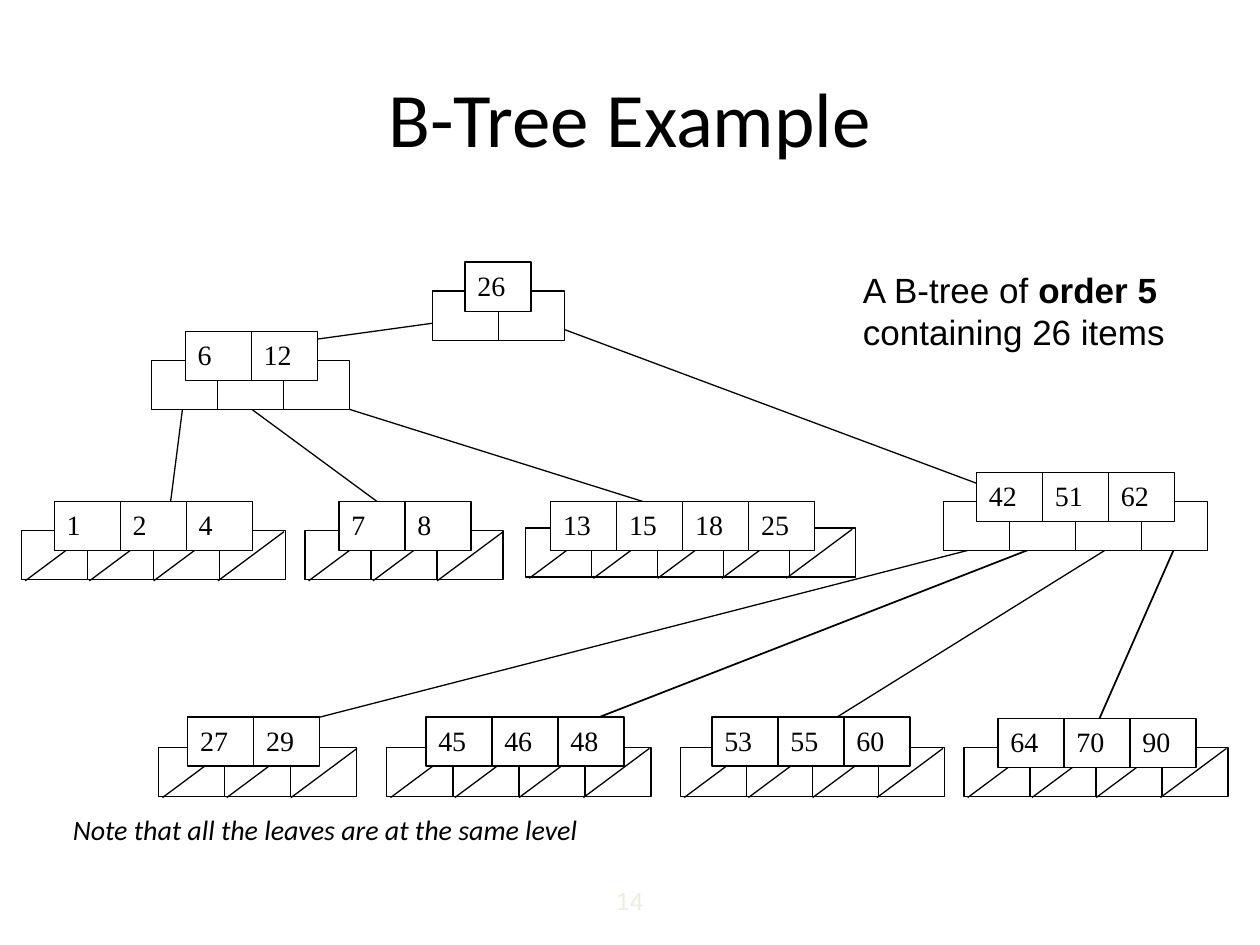
import pptx
import pptx.dml.color
import pptx.enum.shapes
import pptx.enum.text
import pptx.oxml
import pptx.oxml.ns
import pptx.util

INCH = pptx.util.Inches
BLACK, WHITE, PALE = "000000", "FFFFFF", "EEECE1"
CELL_W, CELL_H = 0.524, 0.39
SLASH_LEFT, SLASH_STEP, SLASH_DROP = 0.03, 0.51, 0.01

# keys, (keys left, keys top), (pointers left, pointers top)
INNER_NODES = [
    ([26], (3.69, 2.08), (3.43, 2.31)),
    ([6, 12], (1.47, 2.63), (1.2, 2.86)),
    ([42, 51, 62], (7.75, 3.75), (7.49, 3.98)),
]
LEAVES = [
    ([1, 2, 4], (0.43, 3.98), (0.17, 4.21)),
    ([7, 8], (2.69, 3.98), (2.42, 4.21)),
    ([13, 15, 18, 25], (4.37, 3.98), (4.17, 4.19)),
    ([27, 29], (1.49, 5.69), (1.26, 5.93)),
    ([45, 46, 48], (3.38, 5.69), (3.07, 5.93)),
    ([53, 55, 60], (5.65, 5.69), (5.4, 5.93)),
    ([64, 70, 90], (7.92, 5.7), (7.65, 5.93)),
]
BRANCHES = [
    ((3.69, 2.53), (1.73, 2.8), 0.75),
    ((4.17, 2.5), (8.54, 4.13), 0.75),
    ((1.47, 3.08), (1.33, 4.17), 0.75),
    ((2, 3.25), (3.25, 4.17), 0.75),
    ((2.3, 3.1), (5.42, 4.08), 0.75),
    ((7.83, 4.33), (2, 5.83), 0.75),
    ((8.25, 4.33), (4.17, 5.92), 1),
    ((8.83, 4.33), (6.42, 5.83), 0.75),
    ((9.33, 4.33), (8.67, 5.83), 1),
]
# runs as (text, bold, italic), box, font, size, colour, centred, wrapped
CAPTIONS = [
    ([("B-Tree Example", False, False)],
     (0.5, 0.3, 9, 1.25), "Calibri", 44, BLACK, True, True),
    ([("A B-tree of ", False, False), ("order 5", True, False),
      (" containing 26 items", False, False)],
     (6.75, 2.08, 2.92, 0.77), "Arial", 20, BLACK, False, True),
    ([("Note that all the leaves are at the same level", False, True)],
     (0.48, 6.4, 4.59, 0.37), "Calibri", 16, BLACK, False, False),
    ([("14", False, False)],
     (3.5, 6.95, 3, 0.4), "Arial", 14, PALE, True, True),
]


def colour(value):
    return pptx.dml.color.RGBColor.from_string(value)


def style_run(run, font, size, tint):
    run.font.name = font
    run.font.size = pptx.util.Pt(size)
    run.font.color.rgb = colour(tint)


def add_line(shapes, start, end, width=0.75):
    line = shapes.add_connector(
        pptx.enum.shapes.MSO_CONNECTOR.STRAIGHT, *map(INCH, start + end))
    line.line.color.rgb = colour(BLACK)
    line.line.width = pptx.util.Pt(width)
    properties = line._element.find(pptx.oxml.ns.qn("p:spPr"))
    properties.append(pptx.oxml.parse_xml(
        f'<a:effectLst {pptx.oxml.ns.nsdecls("a")}/>'))


def add_cells(shapes, corner, labels):
    left, top = corner
    for column, label in enumerate(labels):
        cell = shapes.add_shape(
            pptx.enum.shapes.MSO_SHAPE.RECTANGLE,
            *map(INCH, (left + column * CELL_W, top, CELL_W, CELL_H)))
        cell.shadow.inherit = False
        cell.fill.solid()
        cell.fill.fore_color.rgb = colour(WHITE)
        cell.line.color.rgb = colour(BLACK)
        cell.line.width = pptx.util.Pt(0.75)
        if label:
            cell.text_frame.text = label
            cell.text_frame.vertical_anchor = pptx.enum.text.MSO_ANCHOR.TOP
            paragraph = cell.text_frame.paragraphs[0]
            paragraph.alignment = pptx.enum.text.PP_ALIGN.LEFT
            style_run(paragraph.runs[0], "Times New Roman", 16, BLACK)


def add_slashes(shapes, corner, count):
    left, top = corner
    for column in range(count):
        x = left + SLASH_LEFT + column * SLASH_STEP
        y = top + SLASH_DROP
        add_line(shapes, (x + CELL_W, y), (x, y + CELL_H))


def add_node(shapes, keys, keys_corner, pointers_corner, is_leaf):
    pointer_count = len(keys) + 1
    pointers = shapes.add_group_shape().shapes
    add_cells(pointers, pointers_corner, [""] * pointer_count)
    if is_leaf:
        add_slashes(pointers, pointers_corner, pointer_count)
    add_cells(shapes, keys_corner, [str(key) for key in keys])


def add_caption(shapes, pieces, box, font, size, tint, centred, wrapped):
    frame = shapes.add_textbox(*map(INCH, box)).text_frame
    frame.word_wrap = wrapped
    if centred:
        frame.vertical_anchor = pptx.enum.text.MSO_ANCHOR.MIDDLE
        frame.paragraphs[0].alignment = pptx.enum.text.PP_ALIGN.CENTER
    for text, bold, italic in pieces:
        run = frame.paragraphs[0].add_run()
        run.text = text
        run.font.bold = bold
        run.font.italic = italic
        style_run(run, font, size, tint)


def main():
    deck = pptx.Presentation()
    deck.slide_width, deck.slide_height = INCH(10), INCH(7.5)
    shapes = deck.slides.add_slide(deck.slide_layouts[6]).shapes
    for branch in BRANCHES:
        add_line(shapes, *branch)
    for node in INNER_NODES:
        add_node(shapes, *node, is_leaf=False)
    for node in LEAVES:
        add_node(shapes, *node, is_leaf=True)
    for caption in CAPTIONS:
        add_caption(shapes, *caption)
    deck.save("out.pptx")


if __name__ == "__main__":
    main()
